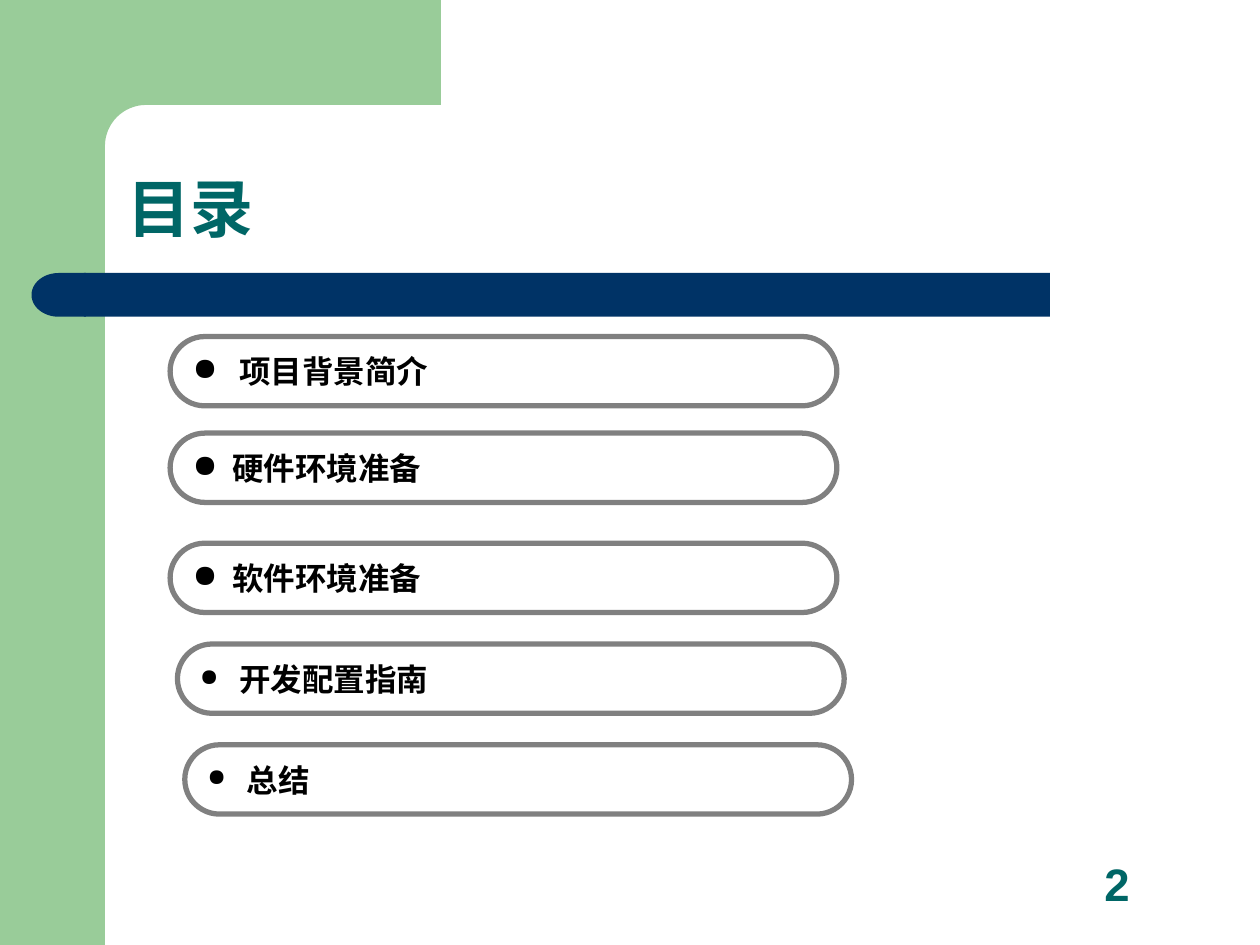
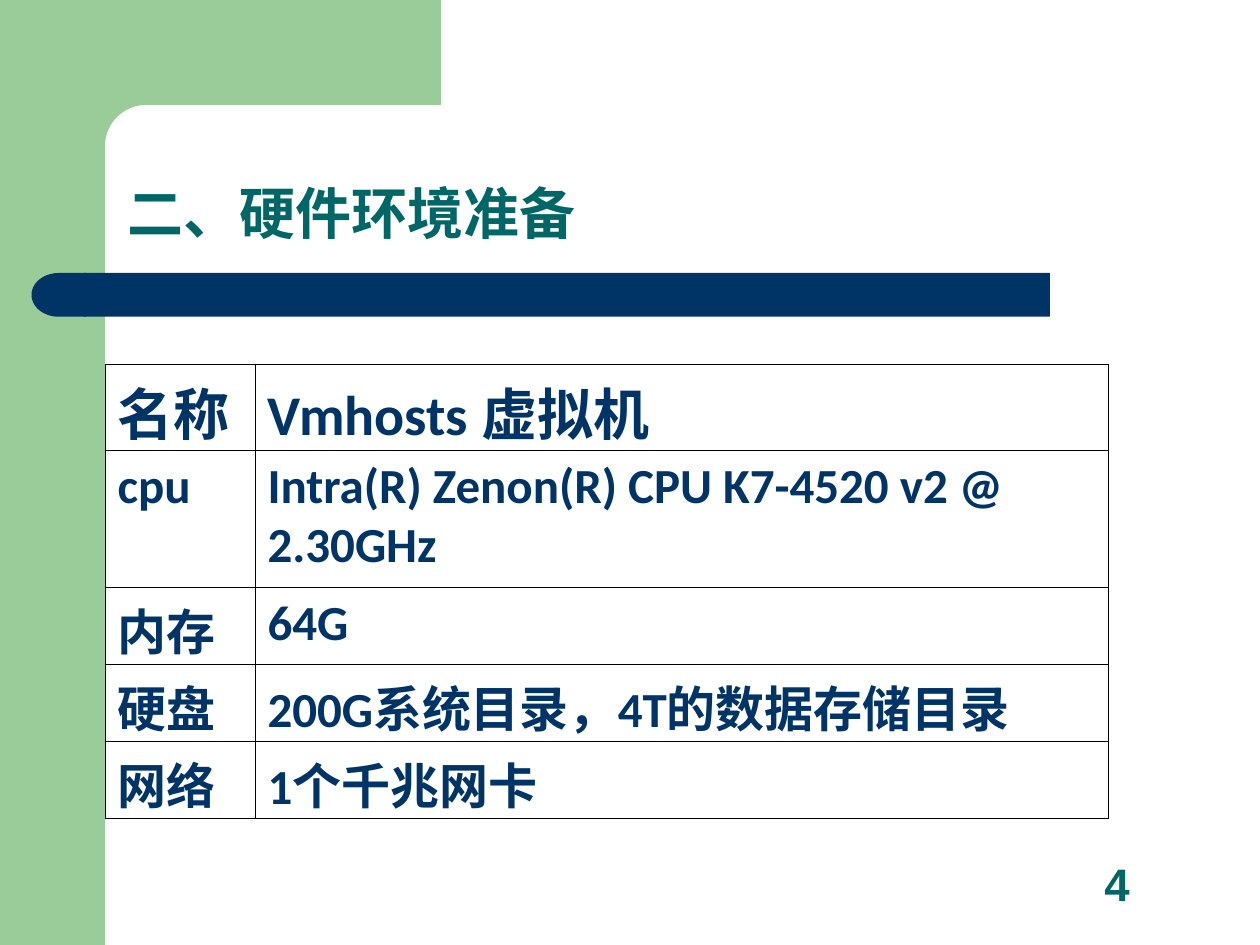
from math import cos, pi, sin

from lxml.etree import SubElement
from pptx import Presentation
from pptx.dml.color import RGBColor
from pptx.enum.shapes import MSO_SHAPE as Shape
from pptx.enum.text import MSO_ANCHOR as Anchor, MSO_AUTO_SIZE as AutoSize, PP_ALIGN as Align
from pptx.oxml import parse_xml
from pptx.oxml.ns import nsdecls, qn
from pptx.util import Pt

GREEN, NAVY, TEAL = "99CC99", "003366", "006666"
WHITE, BLACK, GRAY = "FFFFFF", "000000", "808080"
TITLE_ONLY = 5


def color(value):
    return RGBColor.from_string(value)


def points(*lengths):
    return [Pt(length) for length in lengths]


class Designer:
    heading_font = "Arial"
    table_font = "Calibri"

    def __init__(self, deck):
        self.deck = deck
        self.page = None

    def start(self, title, size, spacing, number):
        self.page = self.deck.slides.add_slide(self.deck.slide_layouts[TITLE_ONLY])
        self.backdrop()
        self.title(title, size, spacing)
        self.page_number(number)

    def paint(self, shape, fill, line=None, width=0):
        shape.shadow.inherit = False
        shape.fill.solid()
        shape.fill.fore_color.rgb = color(fill)
        if line:
            shape.line.color.rgb = color(line)
            shape.line.width = Pt(width)
        else:
            shape.line.fill.background()
        return shape

    def block(self, kind, place, fill, line=None, width=0):
        shape = self.page.shapes.add_shape(kind, *points(*place))
        return self.paint(shape, fill, line, width)

    def add_text(self, para, text, size, ink, font):
        span = para.add_run()
        span.text = text
        span.font.name = font
        span.font.size = Pt(size)
        span.font.bold = True
        span.font.color.rgb = color(ink)

    def backdrop(self):
        self.block(Shape.RECTANGLE, (0, 0, 60, 540), GREEN)
        self.corner()
        self.block(Shape.RECTANGLE, (48, 156, 552, 25), NAVY)
        cap = self.block(Shape.FLOWCHART_DELAY, (18, 156, 31, 25), NAVY)
        cap.rotation = 180

    def corner(self):
        edge, radius, steps = 60, 23.5, 16
        center = edge + radius
        angles = [pi / 2 * step / steps for step in range(steps + 1)]
        arc = [(center - radius * sin(a), center - radius * cos(a)) for a in angles]
        outline = [(252, edge), *arc, (edge, 92), (36, 92), (36, 0)]
        builder = self.page.shapes.build_freeform(Pt(252), 0)
        builder.add_line_segments([points(*spot) for spot in outline], close=True)
        self.paint(builder.convert_to_shape(), GREEN)

    def title(self, text, size, spacing):
        box = self.page.shapes.title
        box.left, box.top, box.width, box.height = points(65.5, 65.5, 612.7, 78.5)
        frame = box.text_frame
        frame.auto_size = AutoSize.NONE
        frame.vertical_anchor = Anchor.BOTTOM
        para = frame.paragraphs[0]
        para.alignment = Align.LEFT
        para.line_spacing = spacing
        self.add_text(para, text, size, TEAL, self.heading_font)

    def page_number(self, number):
        box = self.page.shapes.add_textbox(*points(624, 486, 46, 38))
        frame = box.text_frame
        frame.word_wrap = True
        frame.vertical_anchor = Anchor.BOTTOM
        self.add_text(frame.paragraphs[0], str(number), 26, TEAL, self.heading_font)

    def bullet(self, para, indent, percent):
        props = para._p.get_or_add_pPr()
        props.set("marL", str(Pt(indent)))
        props.set("indent", str(-Pt(indent)))
        ink = SubElement(props, qn("a:buClr"))
        SubElement(ink, qn("a:srgbClr"), val=BLACK)
        SubElement(props, qn("a:buSzPct"), val=str(percent * 1000))
        SubElement(props, qn("a:buChar"), char="●")

    def pill(self, text, left, top, percent):
        box = self.block(Shape.ROUNDED_RECTANGLE, (left, top, 381, 39.6), WHITE, GRAY, 3)
        box.adjustments[0] = 0.5
        frame = box.text_frame
        frame.word_wrap = False
        frame.vertical_anchor = Anchor.MIDDLE
        para = frame.paragraphs[0]
        para.alignment = Align.LEFT
        self.bullet(para, 22.5, percent)
        self.add_text(para, text, 18, BLACK, self.heading_font)

    def border(self, cell):
        props = cell._tc.get_or_add_tcPr()
        for index, side in enumerate("LRTB"):
            props.insert(index, parse_xml(
                f'<a:ln{side} {nsdecls("a")} w="{Pt(0.45)}"><a:solidFill>'
                f'<a:srgbClr val="{BLACK}"/></a:solidFill></a:ln{side}>'))

    def table(self, left, top, widths, heights, rows):
        place = points(left, top, sum(widths), sum(heights))
        grid = self.page.shapes.add_table(len(rows), len(widths), *place).table
        grid.first_row = grid.horz_banding = False
        for column, width in zip(grid.columns, widths):
            column.width = Pt(width)
        for index, (height, texts) in enumerate(zip(heights, rows)):
            grid.rows[index].height = Pt(height)
            for cell, text in zip(grid.rows[index].cells, texts):
                cell.fill.solid()
                cell.fill.fore_color.rgb = color(WHITE)
                self.border(cell)
                size = 28 if index else 32
                self.add_text(cell.text_frame.paragraphs[0], text, size, NAVY, self.table_font)


def contents(design):
    design.start("目录", 36, 0.9, 2)
    topics = [
        (" 项目背景简介", 97.2, 192.3, 100),
        ("硬件环境准备", 97.2, 247.5, 100),
        ("软件环境准备", 97.2, 310.4, 100),
        ("开发配置指南", 101.4, 368, 75),
        ("总结", 105.6, 425.6, 75),
    ]
    for topic in topics:
        design.pill(*topic)


def hardware(design):
    design.start("二、硬件环境准备", 32, 0.8, 4)
    rows = [
        ("名称", "Vmhosts 虚拟机"),
        ("cpu", "Intra(R) Zenon(R) CPU K7-4520 v2 @ 2.30GHz"),
        ("内存", "64G"),
        ("硬盘", "200G系统目录，4T的数据存储目录"),
        ("网络", "1个千兆网卡"),
    ]
    design.table(60, 208.2, (85.7, 487.4), (49, 78.5, 44, 44, 44), rows)


def main():
    deck = Presentation()
    deck.slide_width, deck.slide_height = points(720, 540)
    design = Designer(deck)
    contents(design)
    hardware(design)
    deck.save("out.pptx")


if __name__ == "__main__":
    main()
